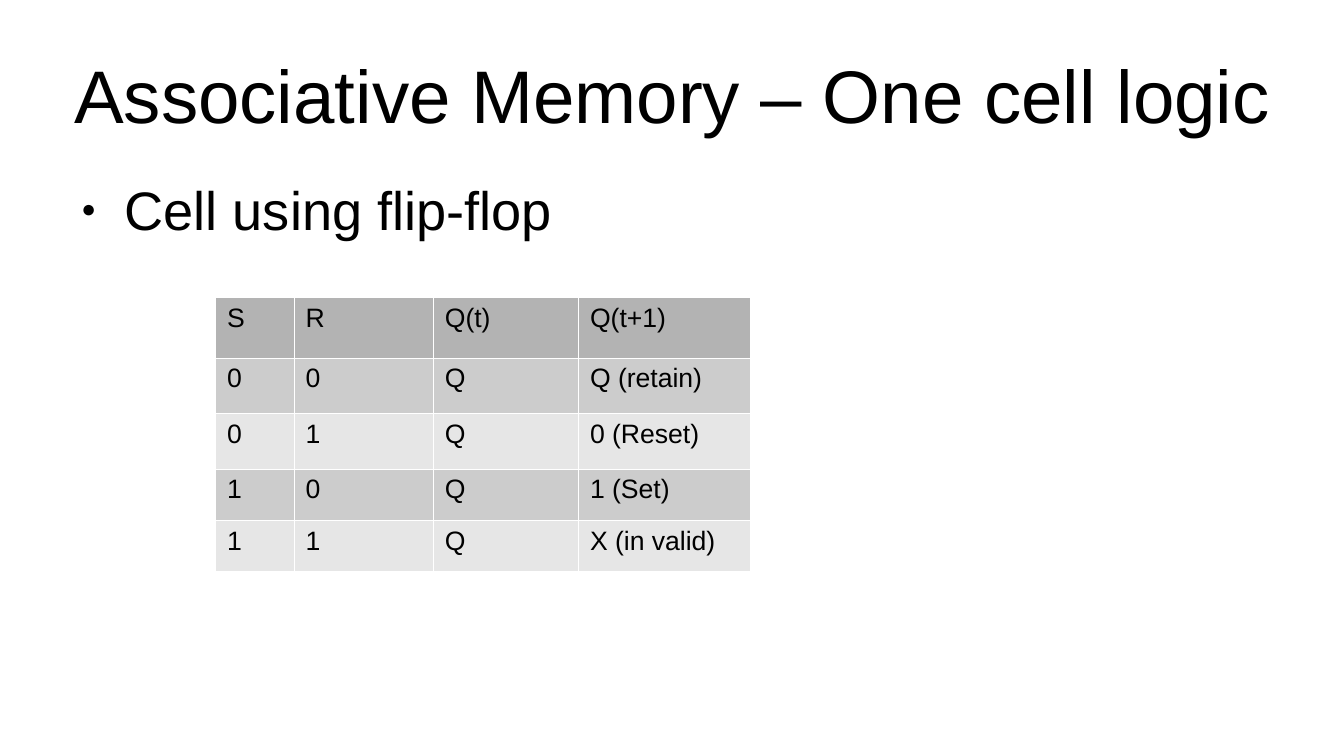
import pptx
import pptx.dml.color
import pptx.enum.text
import pptx.oxml
import pptx.oxml.ns
import pptx.util
import lxml.etree

Inches = pptx.util.Inches
Pt = pptx.util.Pt
RGBColor = pptx.dml.color.RGBColor
qn = pptx.oxml.ns.qn

BLACK = RGBColor(0, 0, 0)
WHITE = RGBColor(255, 255, 255)
HEADER_GRAY = RGBColor(0xB3, 0xB3, 0xB3)
BAND_GRAYS = [RGBColor(0xCC, 0xCC, 0xCC), RGBColor(0xE6, 0xE6, 0xE6)]

FONT = "Arial"
SLIDE_WIDTH, SLIDE_HEIGHT = 13.33, 7.5
MARGIN = 0.05 * SLIDE_WIDTH
CONTENT_WIDTH = 0.9 * SLIDE_WIDTH

COLUMN_WIDTHS = [0.78, 1.38, 1.44, 1.71]
ROW_HEIGHTS = [0.6, 0.55, 0.55, 0.51, 0.51]
FLIP_FLOP_STATES = [
    ["S", "R", "Q(t)", "Q(t+1)"],
    ["0", "0", "Q", "Q (retain)"],
    ["0", "1", "Q", "0 (Reset)"],
    ["1", "0", "Q", "1 (Set)"],
    ["1", "1", "Q", "X (in valid)"],
]


def write_text(frame, text, size, align=pptx.enum.text.PP_ALIGN.LEFT):
    paragraph = frame.paragraphs[0]
    paragraph.alignment = align
    run = paragraph.add_run()
    run.text = text
    run.font.name = FONT
    run.font.size = Pt(size)
    run.font.color.rgb = BLACK
    return paragraph


def add_text_box(slide, top, height, text, anchor, **text_format):
    box = slide.shapes.add_textbox(
        Inches(MARGIN), Inches(top), Inches(CONTENT_WIDTH), Inches(height))
    frame = box.text_frame
    frame.word_wrap = True
    frame.vertical_anchor = anchor
    frame.margin_left = frame.margin_right = 0
    frame.margin_top = frame.margin_bottom = 0
    return write_text(frame, text, **text_format)


def add_bullet(paragraph):
    properties = paragraph._p.get_or_add_pPr()
    properties.set("marL", str(Inches(0.57)))
    properties.set("indent", str(Inches(-0.43)))
    color = lxml.etree.SubElement(properties, qn("a:buClr"))
    lxml.etree.SubElement(color, qn("a:srgbClr"), val=str(BLACK))
    lxml.etree.SubElement(properties, qn("a:buSzPct"), val="45000")
    lxml.etree.SubElement(properties, qn("a:buFont"), typeface=FONT)
    lxml.etree.SubElement(properties, qn("a:buChar"), char="●")


def add_borders(cell):
    properties = cell._tc.get_or_add_tcPr()
    for index, side in enumerate(["a:lnL", "a:lnR", "a:lnT", "a:lnB"]):
        line = pptx.oxml.parse_xml(
            f'<{side} {pptx.oxml.ns.nsdecls("a")} w="{Pt(0.06)}"><a:solidFill>'
            f'<a:srgbClr val="{WHITE}"/></a:solidFill></{side}>')
        properties.insert(index, line)


def add_state_table(slide, left, top):
    table = slide.shapes.add_table(
        len(ROW_HEIGHTS), len(COLUMN_WIDTHS), Inches(left), Inches(top),
        Inches(sum(COLUMN_WIDTHS)), Inches(sum(ROW_HEIGHTS))).table
    for column, width in zip(table.columns, COLUMN_WIDTHS):
        column.width = Inches(width)
    for row_index, values in enumerate(FLIP_FLOP_STATES):
        row = table.rows[row_index]
        row.height = Inches(ROW_HEIGHTS[row_index])
        fill = BAND_GRAYS[(row_index - 1) % 2] if row_index else HEADER_GRAY
        for cell, value in zip(row.cells, values):
            cell.margin_left = cell.margin_right = Inches(0.12)
            cell.margin_top = cell.margin_bottom = Inches(0.06)
            cell.fill.solid()
            cell.fill.fore_color.rgb = fill
            add_borders(cell)
            paragraph = write_text(cell.text_frame, value, size=19)
            paragraph.runs[0].font.bold = False


def main():
    presentation = pptx.Presentation()
    presentation.slide_width = Inches(SLIDE_WIDTH)
    presentation.slide_height = Inches(SLIDE_HEIGHT)
    slide = presentation.slides.add_slide(presentation.slide_layouts[6])

    # Title
    add_text_box(slide, 0.04 * SLIDE_HEIGHT, 1.25,
                 "Associative Memory – One cell logic",
                 pptx.enum.text.MSO_ANCHOR.MIDDLE,
                 size=53.2, align=pptx.enum.text.PP_ALIGN.CENTER)

    # Bulleted heading
    heading = add_text_box(slide, 1.75, 0.58 * SLIDE_HEIGHT,
                           "Cell using flip-flop",
                           pptx.enum.text.MSO_ANCHOR.TOP, size=38.7)
    heading.space_before = Pt(17.1)
    add_bullet(heading)

    # State table
    add_state_table(slide, 0.16 * SLIDE_WIDTH, 2.95)

    presentation.save("out.pptx")


if __name__ == "__main__":
    main()
